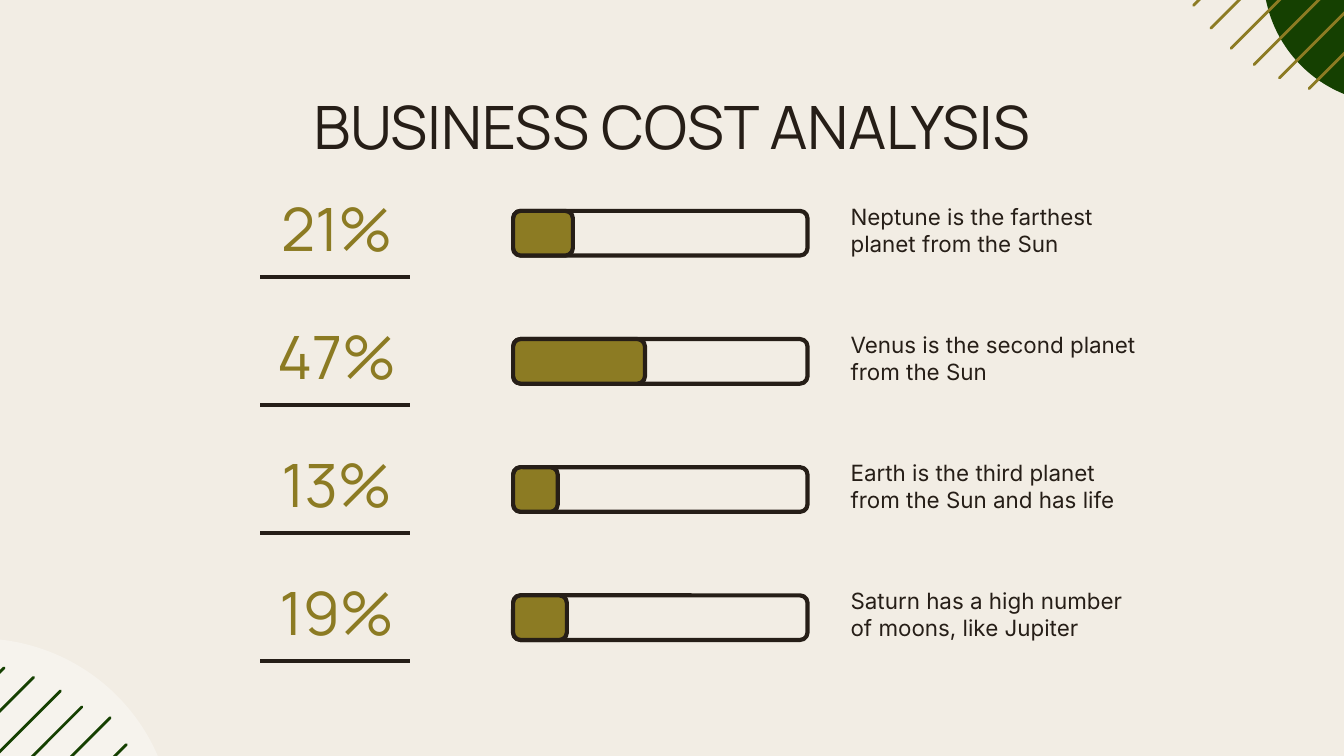
from lxml import etree
from pptx import Presentation
from pptx.dml.color import RGBColor
from pptx.enum import shapes, text
from pptx.oxml.ns import qn
from pptx.util import Pt

COLORS = {"paper": "F2EDE4", "ink": "261E17", "olive": "8C7B23",
          "green": "154001", "white": "FFFFFF"}

deck = Presentation()
deck.slide_width, deck.slide_height = Pt(720), Pt(405)
page = deck.slides.add_slide(deck.slide_layouts[6])
page.background.fill.solid()
page.background.fill.fore_color.rgb = RGBColor.from_string(COLORS["paper"])


def add_line(start, end, color, width, cap="flat"):
    line = page.shapes.add_connector(
        shapes.MSO_CONNECTOR.STRAIGHT, *map(Pt, (*start, *end)))
    line.line.color.rgb = RGBColor.from_string(COLORS[color])
    line.line.width = Pt(width)
    line.line._get_or_add_ln().set("cap", cap)
    etree.SubElement(line._element.spPr, qn("a:effectLst"))


def add_text(words, frame, size, font, color, align, anchor, spacing=0):
    box = page.shapes.add_textbox(*map(Pt, frame))
    body = box.text_frame
    body.word_wrap = True
    body.vertical_anchor = anchor
    body.margin_left = body.margin_right = Pt(7.2)
    body.margin_top = body.margin_bottom = Pt(7.2)
    body.text = words
    para = body.paragraphs[0]
    para.alignment = align
    span = para.runs[0]
    span.font.size, span.font.name = Pt(size), font
    span.font.color.rgb = RGBColor.from_string(COLORS[color])
    if spacing:
        span.font._element.set("spc", str(spacing))


# Corner circles
for frame, color, opacity in (((676.8, -82.8, 138.2, 138.2), "green", 100),
                              ((-115.9, 342, 208.8, 207.4), "white", 36)):
    circle = page.shapes.add_shape(shapes.MSO_SHAPE.OVAL, *map(Pt, frame))
    circle.shadow.inherit = False
    circle.line.fill.background()
    circle.fill.solid()
    circle.fill.fore_color.rgb = RGBColor.from_string(COLORS[color])
    if opacity < 100:
        tint = circle._element.spPr.find(".//" + qn("a:srgbClr"))
        etree.SubElement(tint, qn("a:alpha")).set("val", str(opacity * 1000))

# Diagonal hatching: lower-left end and length of run, upper-right end and run
for x, y, run in ((639.4, 2.9, 140.4), (648.7, 15.1, 148.3), (659.5, 25.9, 150.5),
                  (671.8, 34.6, 145), (685.4, 41.8, 133.6), (701.3, 47.5, 123.1)):
    add_line((x, y), (x + run, y - run), "olive", 1.5, "rnd")
for x, y, run in ((2.2, 357.8, 122.8), (18, 362.9, 133.2), (32.4, 370.1, 140.4),
                  (43.9, 378.7, 143.3), (59, 384.5, 148.3), (67.7, 398.9, 143.6)):
    add_line((x, y), (x - run, y + run), "green", 1.5, "rnd")

# Title
add_text("BUSINESS COST ANALYSIS", (56.2, 41, 607.7, 55.4), 32, "Manrope", "ink",
         text.PP_ALIGN.CENTER, text.MSO_ANCHOR.TOP)

# Cost rows: percentage, progress bar, description
ROW_TOP, ROW_STEP = 101.5, 68.65
BAR_LEFT, BAR_WIDTH, BAR_HEIGHT, CORNER = 274.9, 157.7, 23.9, 0.167
rows = (("21%", 32, "Neptune is the farthest planet from the Sun"),
        ("47%", 70.6, "Venus is the second planet from the Sun"),
        ("13%", 23.9, "Earth is the third planet from the Sun and has life"),
        ("19%", 28.8, "Saturn has a high number of moons, like Jupiter"))
for index, (share, filled, description) in enumerate(rows):
    top = ROW_TOP + index * ROW_STEP
    add_text(share, (101.5, top, 157.7, 46.8), 32, "Manrope", "olive",
             text.PP_ALIGN.CENTER, text.MSO_ANCHOR.BOTTOM)
    add_text(description, (448.6, top, 169.9, 46.8), 12, "Inter", "ink",
             text.PP_ALIGN.LEFT, text.MSO_ANCHOR.TOP)
    add_line((139.4, top + 46.9), (219.6, top + 46.9), "ink", 2.25)
    for width, color in ((BAR_WIDTH, None), (filled, "olive")):
        bar = page.shapes.add_shape(
            shapes.MSO_SHAPE.ROUNDED_RECTANGLE,
            *map(Pt, (BAR_LEFT, top + 11.5, width, BAR_HEIGHT)))
        bar.adjustments[0] = CORNER
        bar.shadow.inherit = False
        bar.line.color.rgb = RGBColor.from_string(COLORS["ink"])
        bar.line.width = Pt(2.25)
        if color:
            bar.fill.solid()
            bar.fill.fore_color.rgb = RGBColor.from_string(COLORS[color])
        else:
            bar.fill.background()

deck.save("out.pptx")
